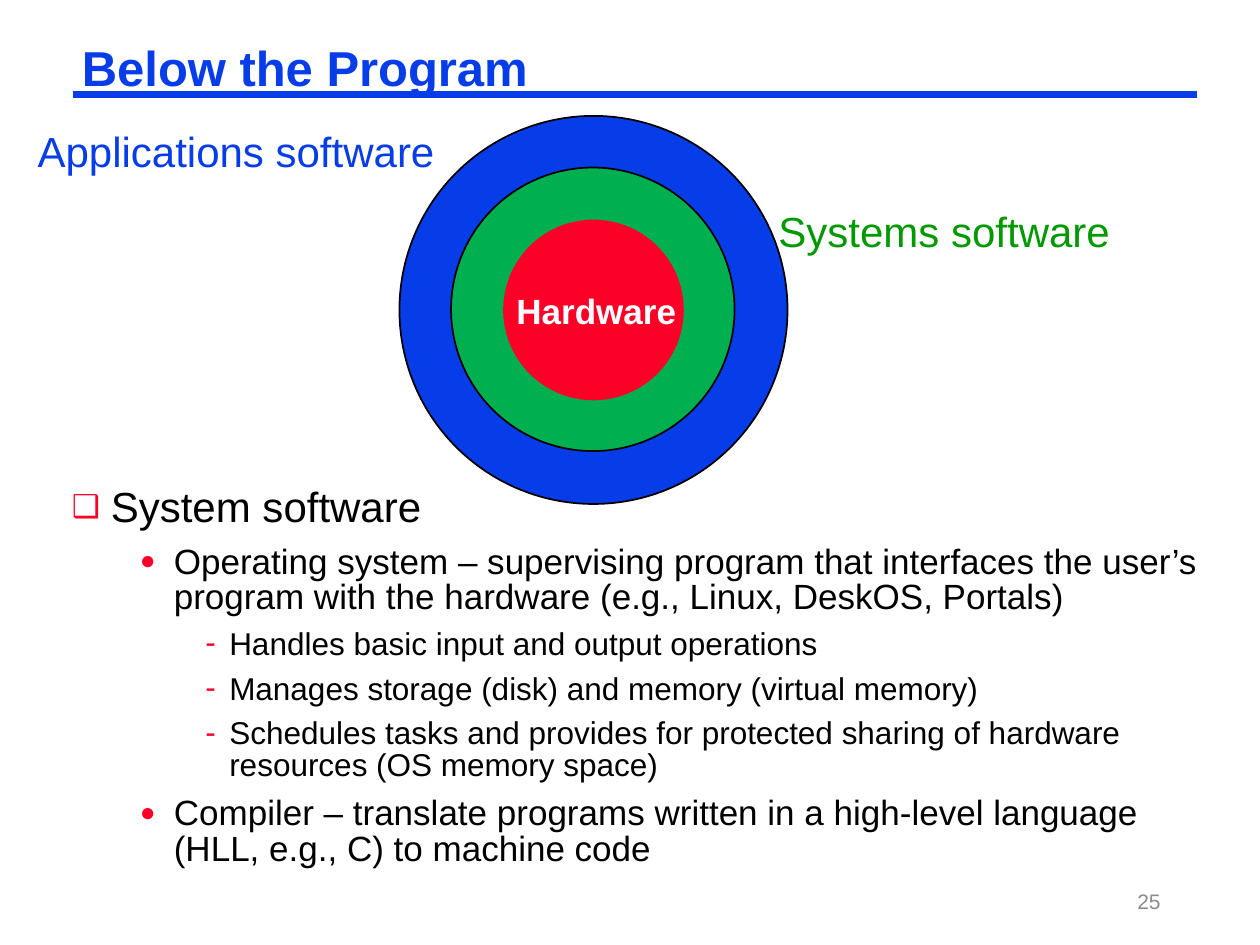
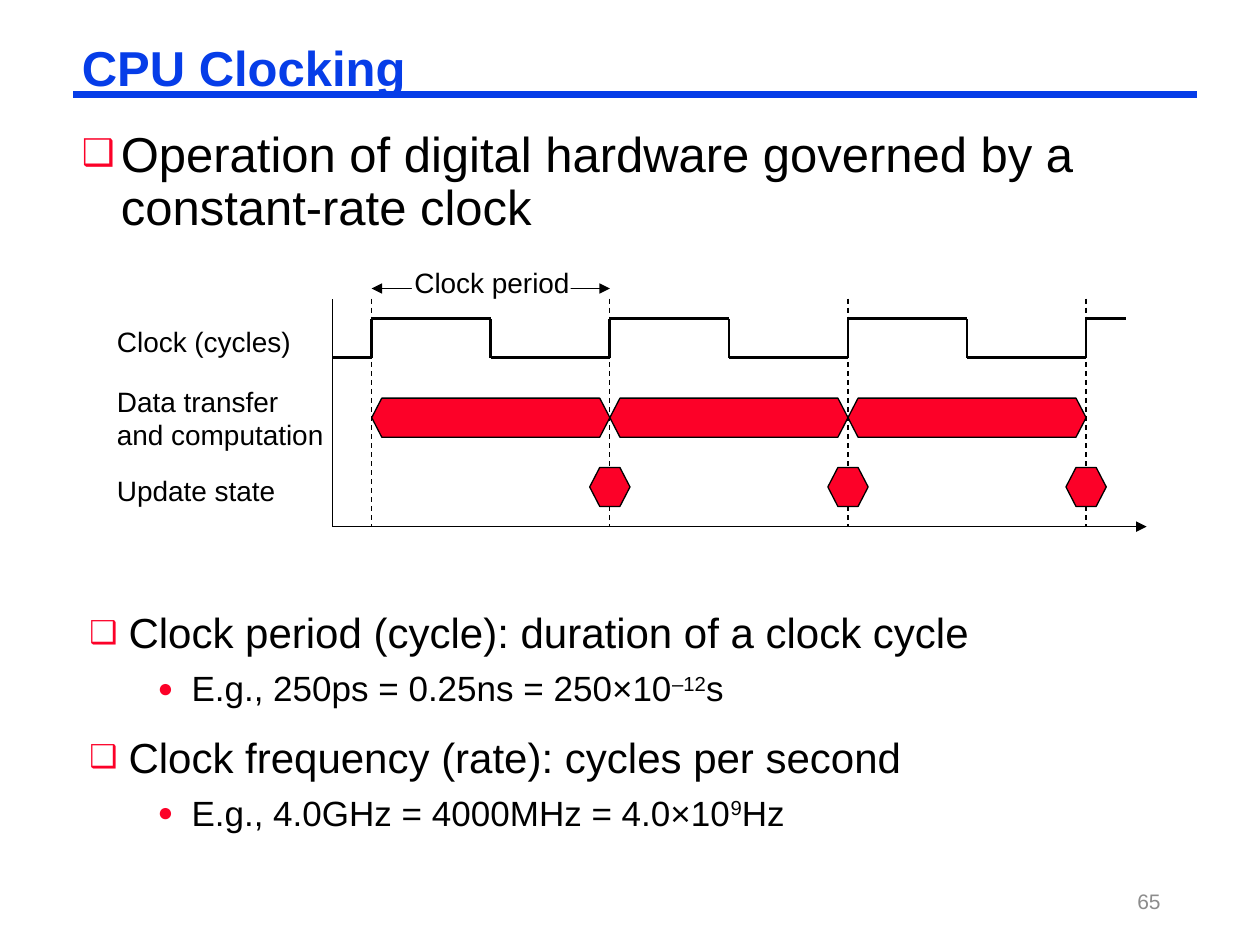
from dataclasses import dataclass
from typing import Any

import lxml.etree
import pptx
import pptx.dml.color
import pptx.enum.dml
import pptx.enum.shapes
import pptx.enum.text
import pptx.oxml.ns
import pptx.util

Inches = pptx.util.Inches
Pt = pptx.util.Pt
RGBColor = pptx.dml.color.RGBColor
ALIGN = pptx.enum.text.PP_ALIGN
SHAPE = pptx.enum.shapes.MSO_SHAPE
qn = pptx.oxml.ns.qn

BLUE = RGBColor(0x06, 0x3D, 0xE8)
RED = RGBColor(0xFC, 0x01, 0x28)
GREEN = RGBColor(0x00, 0xB0, 0x50)
DARK_GREEN = RGBColor(0x00, 0x99, 0x00)
GRAY = RGBColor(0x8C, 0x8C, 0x8C)
BLACK = RGBColor(0x00, 0x00, 0x00)
WHITE = RGBColor(0xFF, 0xFF, 0xFF)
FONT = "Arial"


@dataclass(frozen=True)
class BulletStyle:
    char: str
    margin: float
    hanging: float
    size: int
    space: float  # space before, as a share of the text size
    line_spacing: float
    bullet_percent: int


LEVELS = [
    BulletStyle("❑", 0.31, 0.31, 24, 0.65, 0.9, 75),
    BulletStyle("●", 0.81, 0.27, 20, 0.4, 0.85, 75),
    BulletStyle("-", 1.25, 0.19, 18, 0.4, 0.85, 100),
]


@dataclass(frozen=True)
class Item:
    level: int
    text: str
    superscript: str = ""
    rest: str = ""
    size: int = 0
    line_spacing: float = 0


@dataclass(frozen=True)
class Label:
    text: str
    left: float
    top: float
    width: float
    height: float
    size: int
    color: RGBColor = BLACK
    bold: bool = False
    align: Any = ALIGN.LEFT


@dataclass(frozen=True)
class Ring:
    left: float
    top: float
    diameter: float
    fill: RGBColor
    line: RGBColor


RINGS = [
    Ring(3.17, 0.92, 3.08, BLUE, BLACK),
    Ring(3.58, 1.33, 2.25, GREEN, BLACK),
    Ring(4, 1.75, 1.42, RED, RED),
]
RING_LABELS = [
    Label("Systems software", 6.08, 1.58, 2.86, 0.5, 24, DARK_GREEN),
    Label("Applications software", 0.2, 0.95, 3.39, 0.5, 24, BLUE),
    Label("Hardware", 4, 2.25, 1.48, 0.44, 20, WHITE, True),
]
SYSTEM_SOFTWARE = [
    Item(0, "System software"),
    Item(1, "Operating system – supervising program that interfaces the user’s "
            "program with the hardware (e.g., Linux, DeskOS, Portals)"),
    Item(2, "Handles basic input and output operations"),
    Item(2, "Manages storage (disk) and memory (virtual memory)"),
    Item(2, "Schedules tasks and provides for protected sharing of hardware "
            "resources (OS memory space)"),
    Item(1, "Compiler – translate programs written in a high-level language "
            "(HLL, e.g., C) to machine code"),
]
CLOCK_INTRO = [
    Item(0, "Operation of digital hardware governed by a constant-rate clock", size=28),
]
CLOCK_TERMS = [
    Item(0, "Clock period (cycle): duration of a clock cycle"),
    Item(1, "E.g., 250ps = 0.25ns = 250×10", "–12", "s", line_spacing=0.9),
    Item(0, "Clock frequency (rate): cycles per second"),
    Item(1, "E.g., 4.0GHz = 4000MHz = 4.0×10", "9", "Hz", line_spacing=0.9),
]
ROW_LABELS = [
    Label("Clock (cycles)", 0.83, 2.53, 1.58, 0.37, 16),
    Label("Data transfer\nand computation", 0.83, 3, 1.84, 0.64, 16),
    Label("Update state", 0.83, 3.71, 1.46, 0.37, 16),
]
PERIOD_LABEL = Label("Clock period", 3.19, 2.06, 1.43, 0.37, 16, align=ALIGN.CENTER)

PERIOD = 1.89
EDGES = [2.95 + PERIOD * i for i in range(4)]
AXIS_LEFT, AXIS_RIGHT = 2.64, 9.1
AXIS_TOP, AXIS_BOTTOM = 2.37, 4.18
HIGH, LOW = 2.53, 2.84
WAVE_END = 8.94
BAR_TOP, STATE_TOP = 3.16, 3.71
HEX_HEIGHT, HEX_CORNER, STATE_WIDTH = 0.31, 0.08, 0.32


def add_run(p, text: str, size: float, color: RGBColor, bold: bool = False):
    r = p.add_run()
    r.text = text
    f = r.font
    f.name, f.size, f.bold = FONT, Pt(size), bold
    f.color.rgb = color
    return r


def add_frame(slide, left: float, top: float, width: float, height: float, wrap: bool = True):
    """Add a text box that grows with its text and return its text frame."""
    tf = slide.shapes.add_textbox(Inches(left), Inches(top), Inches(width), Inches(height)).text_frame
    tf.word_wrap = wrap
    tf.auto_size = pptx.enum.text.MSO_AUTO_SIZE.SHAPE_TO_FIT_TEXT
    return tf


def set_tight_margins(tf) -> None:
    tf.margin_left = tf.margin_right = Inches(0.07)
    tf.margin_top = tf.margin_bottom = Inches(0.03)


def add_label(slide, label: Label) -> None:
    tf = add_frame(slide, label.left, label.top, label.width, label.height, wrap=False)
    p = tf.paragraphs[0]
    p.alignment = label.align
    for i, line in enumerate(label.text.split("\n")):
        if i:
            p.add_line_break()
        add_run(p, line, label.size, label.color, label.bold)


def set_bullet(p, style: BulletStyle) -> None:
    pPr = p._p.get_or_add_pPr()
    pPr.set("marL", str(Inches(style.margin)))
    pPr.set("indent", str(-Inches(style.hanging)))
    color = lxml.etree.SubElement(pPr, qn("a:buClr"))
    lxml.etree.SubElement(color, qn("a:srgbClr")).set("val", str(RED))
    lxml.etree.SubElement(pPr, qn("a:buSzPct")).set("val", str(style.bullet_percent * 1000))
    lxml.etree.SubElement(pPr, qn("a:buFont")).set("typeface", FONT)
    lxml.etree.SubElement(pPr, qn("a:buChar")).set("char", style.char)


def add_bullets(slide, items: list[Item], left: float, top: float, width: float, height: float) -> None:
    tf = add_frame(slide, left, top, width, height)
    set_tight_margins(tf)
    for i, item in enumerate(items):
        style = LEVELS[item.level]
        size = item.size or style.size
        p = tf.add_paragraph() if i else tf.paragraphs[0]
        p.level = item.level
        set_bullet(p, style)
        p.line_spacing = item.line_spacing or style.line_spacing
        p.space_before = Pt(size * style.space if i else 0)
        add_run(p, item.text, size, BLACK)
        if item.superscript:
            r = add_run(p, item.superscript, size, BLACK)
            r._r.get_or_add_rPr().set("baseline", "30000")
            add_run(p, item.rest, size, BLACK)


def add_line(slide, x1: float, y1: float, x2: float, y2: float, width: float = 0.75,
             color: RGBColor = BLACK, dashed: bool = False, arrows: tuple[str, ...] = ()) -> None:
    """Draw a line; arrows names its arrowed ends, headEnd being the start."""
    cx = slide.shapes.add_connector(pptx.enum.shapes.MSO_CONNECTOR.STRAIGHT,
                                    Inches(x1), Inches(y1), Inches(x2), Inches(y2))
    cx.line.color.rgb = color
    cx.line.width = Pt(width)
    if dashed:
        cx.line.dash_style = pptx.enum.dml.MSO_LINE.DASH
    ln = cx.line._get_or_add_ln()
    for end in arrows:
        lxml.etree.SubElement(ln, qn(f"a:{end}")).set("type", "triangle")
    lxml.etree.SubElement(cx._element.spPr, qn("a:effectLst"))


def paint(sp, fill: RGBColor, line: RGBColor | None = None, width: float = 0.75) -> None:
    sp.shadow.inherit = False
    sp.fill.solid()
    sp.fill.fore_color.rgb = fill
    if line is None:
        sp.line.fill.background()
    else:
        sp.line.color.rgb = line
        sp.line.width = Pt(width)


def add_hexagon(slide, left: float, top: float, width: float) -> None:
    right, middle, bottom = left + width, top + HEX_HEIGHT / 2, top + HEX_HEIGHT
    inner_left, inner_right = left + HEX_CORNER, right - HEX_CORNER
    points = [(inner_left, top), (inner_right, top), (right, middle),
              (inner_right, bottom), (inner_left, bottom)]
    builder = slide.shapes.build_freeform(Inches(left), Inches(middle))
    builder.add_line_segments([(Inches(x), Inches(y)) for x, y in points], close=True)
    paint(builder.convert_to_shape(), RED, BLACK)


def add_base_slide(prs, title: str, number: int):
    """Add a slide with the shared rule, title and page number."""
    slide = prs.slides.add_slide(prs.slide_layouts[6])
    add_line(slide, 0.58, 0.75, 9.5, 0.75, 4.5, BLUE)
    tf = add_frame(slide, 0.58, 0.33, 8.92, 0.46)
    set_tight_margins(tf)
    tf.paragraphs[0].line_spacing = 0.87
    add_run(tf.paragraphs[0], title, 28, BLUE, True)
    tf = add_frame(slide, 7.06, 6.95, 2.25, 0.4)
    tf.auto_size = pptx.enum.text.MSO_AUTO_SIZE.NONE
    tf.vertical_anchor = pptx.enum.text.MSO_ANCHOR.MIDDLE
    tf.paragraphs[0].alignment = ALIGN.RIGHT
    add_run(tf.paragraphs[0], str(number), 12, GRAY)
    return slide


def add_clock_wave(slide) -> None:
    add_line(slide, AXIS_LEFT, LOW, EDGES[0], LOW, 1.5)
    for rise in EDGES:
        add_line(slide, rise, HIGH, rise, LOW, 1.5)
    for rise in EDGES[:-1]:
        fall = rise + PERIOD / 2
        add_line(slide, rise, HIGH, fall, HIGH, 1.5)
        add_line(slide, fall, HIGH, fall, LOW, 1.5)
        add_line(slide, fall, LOW, rise + PERIOD, LOW, 1.5)
    add_line(slide, EDGES[-1], HIGH, WAVE_END, HIGH, 1.5)


def add_timing_diagram(slide) -> None:
    add_line(slide, EDGES[0], 2.29, EDGES[1], 2.29, arrows=("headEnd", "tailEnd"))
    for edge in EDGES:
        add_line(slide, edge, AXIS_TOP, edge, AXIS_BOTTOM, dashed=True)
    add_clock_wave(slide)
    for edge in EDGES[1:]:
        add_hexagon(slide, edge - STATE_WIDTH / 2, STATE_TOP, STATE_WIDTH)
    add_line(slide, AXIS_LEFT, AXIS_BOTTOM, AXIS_RIGHT, AXIS_BOTTOM, arrows=("tailEnd",))
    add_line(slide, AXIS_LEFT, AXIS_BOTTOM, AXIS_LEFT, AXIS_TOP)
    for label in ROW_LABELS:
        add_label(slide, label)
    gap = slide.shapes.add_shape(SHAPE.RECTANGLE, Inches(3.27), Inches(2.21), Inches(1.26), Inches(0.16))
    paint(gap, WHITE)
    add_label(slide, PERIOD_LABEL)
    for edge in EDGES[:-1]:
        add_hexagon(slide, edge, BAR_TOP, PERIOD)


def build_below_the_program(prs) -> None:
    slide = add_base_slide(prs, "Below the Program", 25)
    for ring in RINGS:
        d = Inches(ring.diameter)
        sp = slide.shapes.add_shape(SHAPE.OVAL, Inches(ring.left), Inches(ring.top), d, d)
        paint(sp, ring.fill, ring.line, 1)
    add_bullets(slide, SYSTEM_SOFTWARE, 0.5, 3.83, 9.17, 3.23)
    for label in RING_LABELS:
        add_label(slide, label)


def build_cpu_clocking(prs) -> None:
    slide = add_base_slide(prs, "CPU Clocking", 65)
    add_bullets(slide, CLOCK_INTRO, 0.58, 1, 8.92, 0.9)
    add_timing_diagram(slide)
    add_bullets(slide, CLOCK_TERMS, 0.64, 4.83, 8.92, 1.92)


def main() -> None:
    prs = pptx.Presentation()
    prs.slide_width, prs.slide_height = Inches(10), Inches(7.5)
    build_below_the_program(prs)
    build_cpu_clocking(prs)
    prs.save("out.pptx")


if __name__ == "__main__":
    main()
